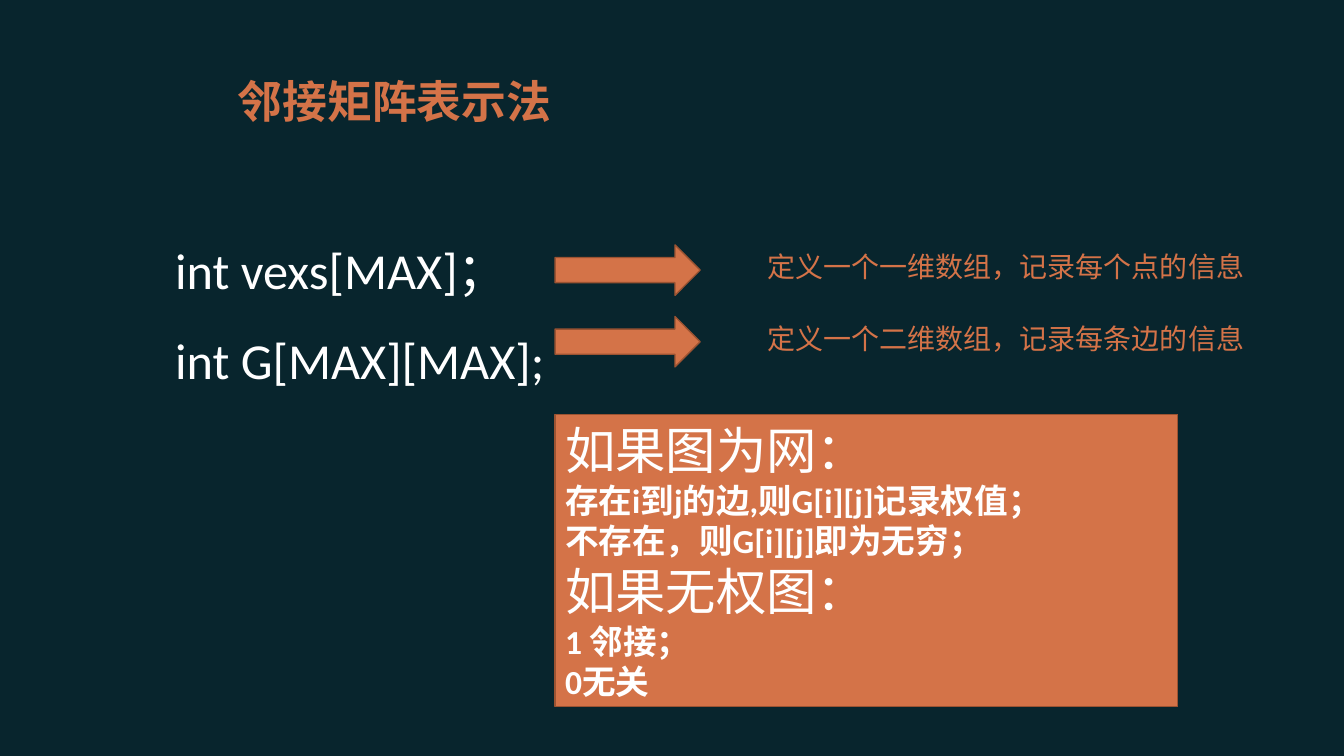
from lxml import etree
from pptx import Presentation
from pptx import util as u
from pptx.dml.color import RGBColor
from pptx.enum import shapes, text
from pptx.oxml import ns

CJK, LATIN = "Noto Sans CJK SC", "Calibri"
NIGHT, CLAY, RUST, WHITE = "08252D", "D47348", "9B5332", "FFFFFF"

TITLE = "邻接矩阵表示法"
CODE = ["int vexs[MAX]；", "int G[MAX][MAX];"]
NOTES = ["定义一个一维数组，记录每个点的信息", "定义一个二维数组，记录每条边的信息"]
CASES = [
    ("如果图为网：", ["存在i到j的边,则G[i][j]记录权值；", "不存在，则G[i][j]即为无穷；"]),
    ("如果无权图：", ["1 邻接；", "0无关"]),
]
LEFT, TOP, STEP = 5.51, 2.43, 0.71


def color(code):
    return RGBColor.from_string(code)


def write(frame, line, size, hue=WHITE, font=LATIN, bold=False, space=None, first=False):
    para = frame.paragraphs[0] if first else frame.add_paragraph()
    para.alignment = text.PP_ALIGN.LEFT
    if space:
        para.line_spacing = space
    run = para.add_run()
    run.text = line
    run.font.size = u.Pt(size)
    run.font.bold = bold
    run.font.color.rgb = color(hue)
    run.font.name = font
    east = etree.SubElement(run.font._element, ns.qn("a:ea"))
    east.set("typeface", CJK)


def setup(frame, anchor):
    frame.word_wrap = True
    frame.vertical_anchor = anchor
    return frame


def textbox(slide, *box):
    shape = slide.shapes.add_textbox(*map(u.Inches, box))
    return setup(shape.text_frame, text.MSO_ANCHOR.TOP)


def block(slide, kind, *box):
    shape = slide.shapes.add_shape(kind, *map(u.Inches, box))
    shape.shadow.inherit = False
    shape.fill.solid()
    shape.fill.fore_color.rgb = color(CLAY)
    shape.line.color.rgb = color(RUST)
    shape.line.width = u.Pt(1)
    return shape


def main():
    deck = Presentation()
    deck.slide_width, deck.slide_height = u.Inches(13.34), u.Inches(7.5)
    slide = deck.slides.add_slide(deck.slide_layouts[5])
    slide.background.fill.solid()
    slide.background.fill.fore_color.rgb = color(NIGHT)

    title = slide.shapes.title
    title.left, title.top = u.Inches(2.26), u.Inches(0.6)
    title.width, title.height = u.Inches(7.95), u.Inches(0.79)
    frame = setup(title.text_frame, text.MSO_ANCHOR.MIDDLE)
    write(frame, TITLE, 32, CLAY, CJK, bold=True, first=True)

    frame = textbox(slide, 1.64, 2.02, 4.9, 1.9)
    for i, line in enumerate(CODE):
        write(frame, line, 36, space=1.5, first=i == 0)

    for i, note in enumerate(NOTES):
        top = TOP + i * STEP
        block(slide, shapes.MSO_SHAPE.RIGHT_ARROW, LEFT, top, 1.44, 0.5)
        write(textbox(slide, 7.52, top, 5.38, 0.44), note, 20, CLAY, first=True)

    panel = block(slide, shapes.MSO_SHAPE.RECTANGLE, LEFT, 4.11, 6.18, 2.9)
    frame = setup(panel.text_frame, text.MSO_ANCHOR.MIDDLE)
    for i, (head, rules) in enumerate(CASES):
        write(frame, head, 36, font=CJK, first=i == 0)
        for rule in rules:
            write(frame, rule, 24, bold=True)

    deck.save("out.pptx")


if __name__ == "__main__":
    main()
